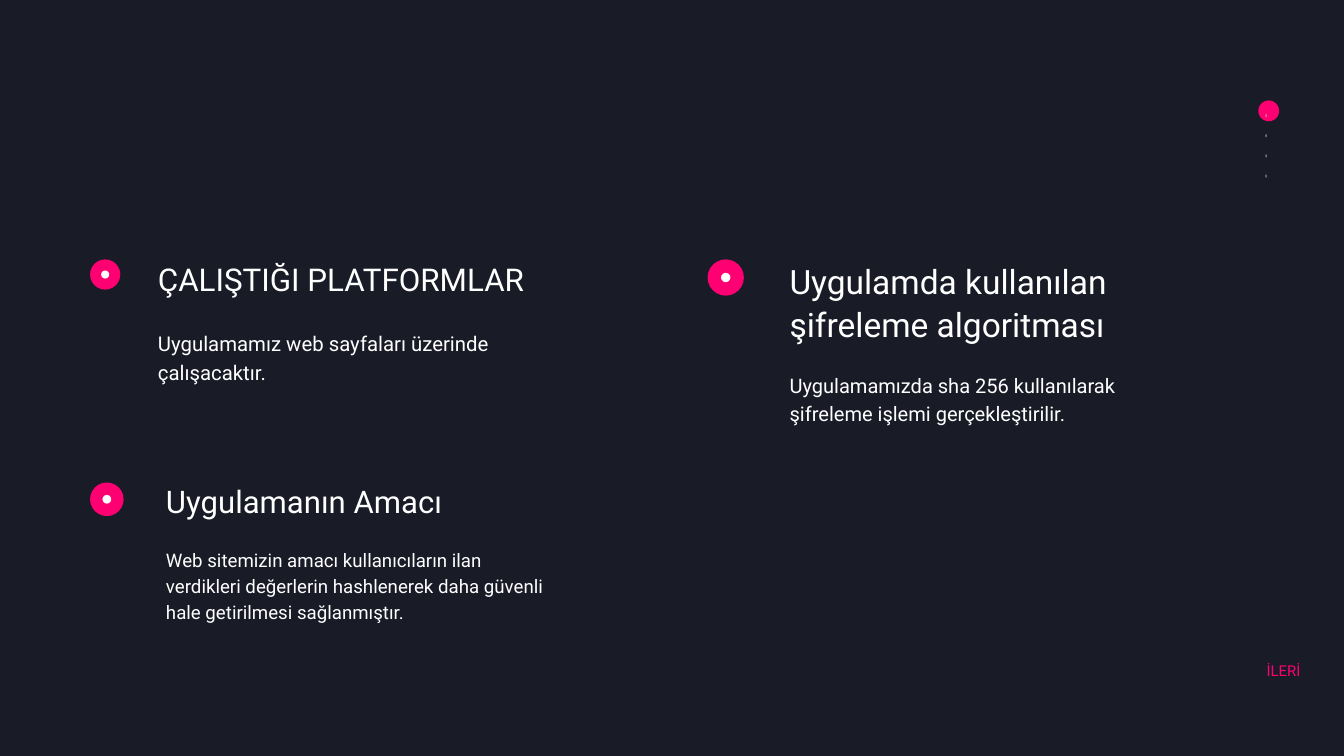
import pptx
import pptx.util
import pptx.dml.color
import pptx.enum.shapes
import pptx.enum.text

Inches, Pt = pptx.util.Inches, pptx.util.Pt
ALIGN = pptx.enum.text.PP_ALIGN

COLORS = {"background": "191B27", "accent": "FE0072", "light": "FFFFFF"}
FONT = "Roboto"

# Each text: (wording, top, height, size, line spacing)
TOPICS = [
    {"bullet": (1.34, 3.86, 0.45, 0.12), "left": 2.35, "width": 6.21,
     "texts": [("ÇALIŞTIĞI PLATFORMLAR", 3.83, 0.59, 33.6, 43.6),
               ("Uygulamamız web sayfaları üzerinde çalışacaktır.",
                4.87, 0.81, 21.8, 30.5)]},
    {"bullet": (1.34, 7.18, 0.5, 0.13), "left": 2.47, "width": 5.69,
     "texts": [("Uygulamanın Amacı", 7.14, 0.59, 33.3, 43.2),
               ("Web sitemizin amacı kullanıcıların ilan verdikleri değerlerin "
                "hashlenerek daha güvenli hale getirilmesi sağlanmıştır.",
                8.11, 1.13, 20, 27.9)]},
    {"bullet": (10.53, 3.86, 0.54, 0.14), "left": 11.75, "width": 6.14,
     "texts": [("Uygulamda kullanılan şifreleme algoritması",
                3.83, 1.28, 35.9, 46.6),
               ("Uygulamamızda sha 256 kullanılarak şifreleme işlemi "
                "gerçekleştirilir.", 5.5, 0.81, 21.5, 30.1)]},
]
NEXT_LABEL = "İLERİ"
PAGE_COUNT = 4


def rgb(name):
    return pptx.dml.color.RGBColor.from_string(COLORS[name])


def add_oval(center_x, center_y, width, height, color):
    oval = slide.shapes.add_shape(
        pptx.enum.shapes.MSO_SHAPE.OVAL,
        Inches(center_x - width / 2), Inches(center_y - height / 2),
        Inches(width), Inches(height))
    oval.shadow.inherit = False
    oval.fill.solid()
    oval.fill.fore_color.rgb = rgb(color)
    oval.line.fill.background()


def add_text(text, *, left, top, width, height, size, spacing,
             color="light", align=ALIGN.LEFT):
    box = slide.shapes.add_textbox(
        Inches(left), Inches(top), Inches(width), Inches(height))
    frame = box.text_frame
    frame.word_wrap = True
    frame.margin_left = frame.margin_right = 0
    frame.margin_top = frame.margin_bottom = 0
    paragraph = frame.paragraphs[0]
    paragraph.alignment = align
    paragraph.line_spacing = Pt(spacing)
    run = paragraph.add_run()
    run.text = text
    run.font.name = FONT
    run.font.size = Pt(size)
    run.font.color.rgb = rgb(color)


presentation = pptx.Presentation()
presentation.slide_width = Inches(20)
presentation.slide_height = Inches(11.25)
slide = presentation.slides.add_slide(presentation.slide_layouts[6])
slide.background.fill.solid()
slide.background.fill.fore_color.rgb = rgb("background")

# Topics: ringed bullet, heading and description
for topic in TOPICS:
    left, top, ring, core = topic["bullet"]
    for diameter, color in ((ring, "accent"), (core, "light")):
        add_oval(left + ring / 2, top + ring / 2, diameter, diameter, color)
    for text, top, height, size, spacing in topic["texts"]:
        add_text(text, left=topic["left"], top=top, width=topic["width"],
                 height=height, size=size, spacing=spacing)

# Link to the next page
add_text(NEXT_LABEL, left=17.84, top=9.84, width=1.51, height=0.29,
         size=16, spacing=19.2, color="accent", align=ALIGN.RIGHT)

# Page indicator: current page dot and one thin tick per page
add_oval(18.88, 1.65, 0.31, 0.31, "accent")
for page in range(PAGE_COUNT):
    add_oval(18.84, 1.72 + 0.3 * page, 0.01, 0.05, "light")

presentation.save("out.pptx")
